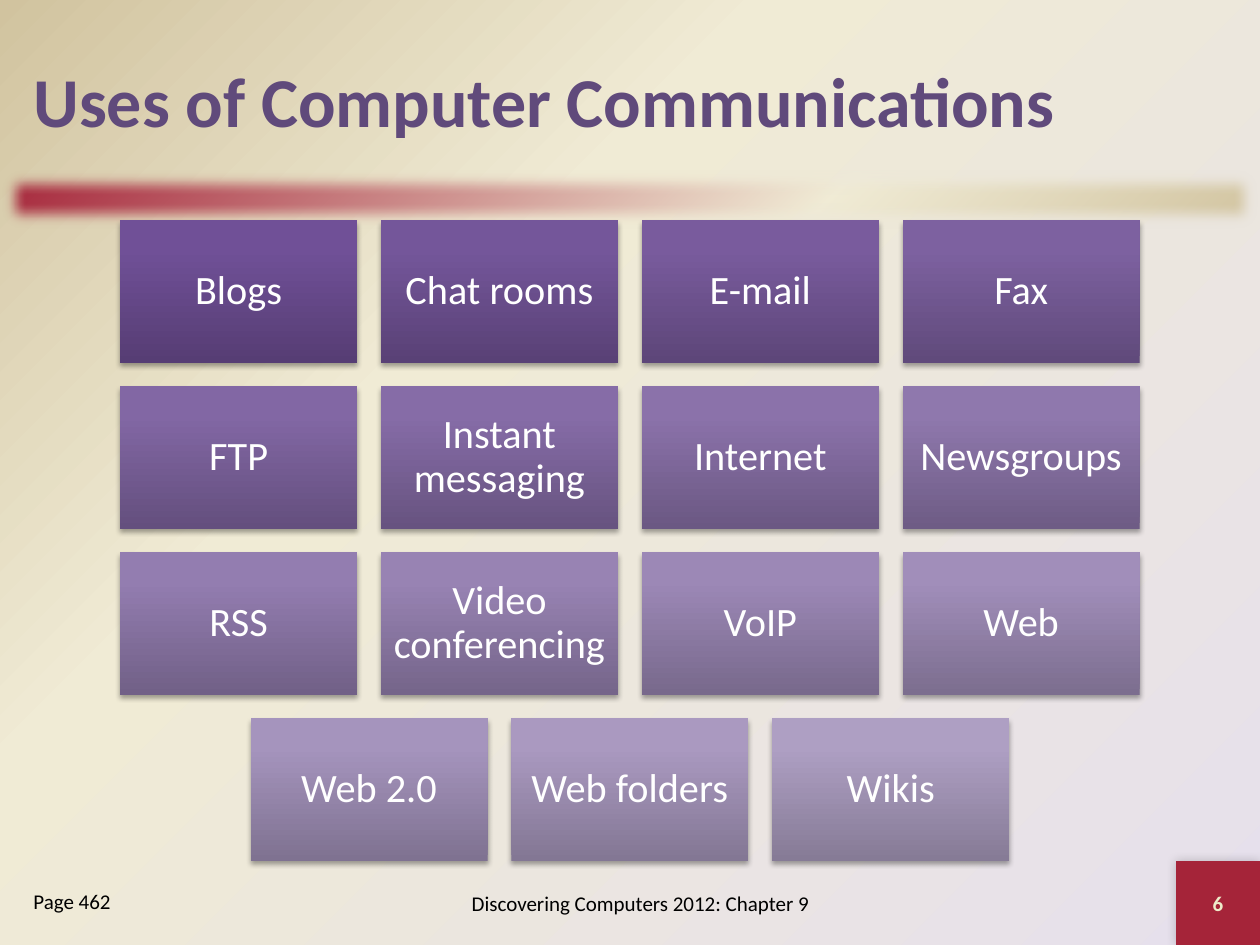
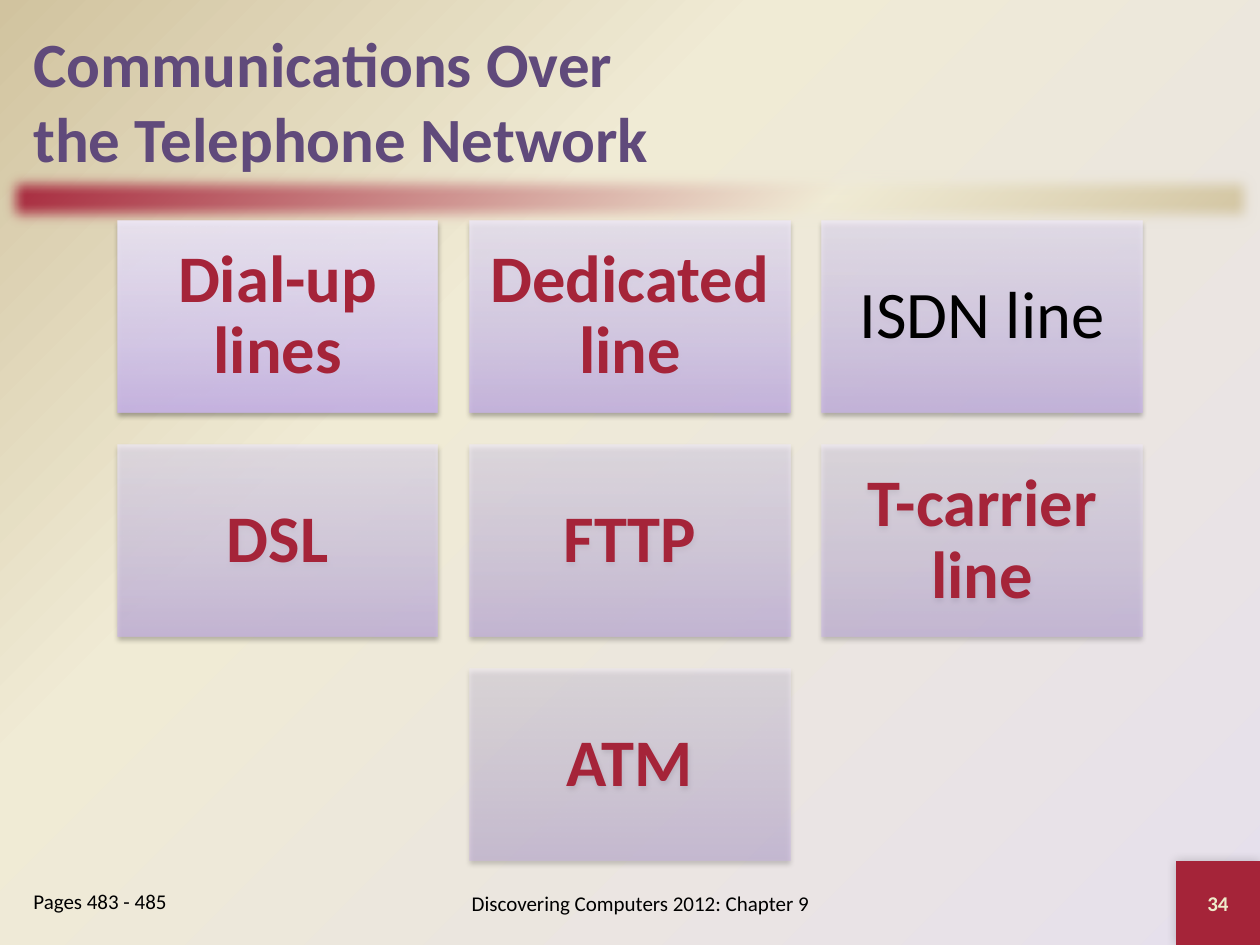
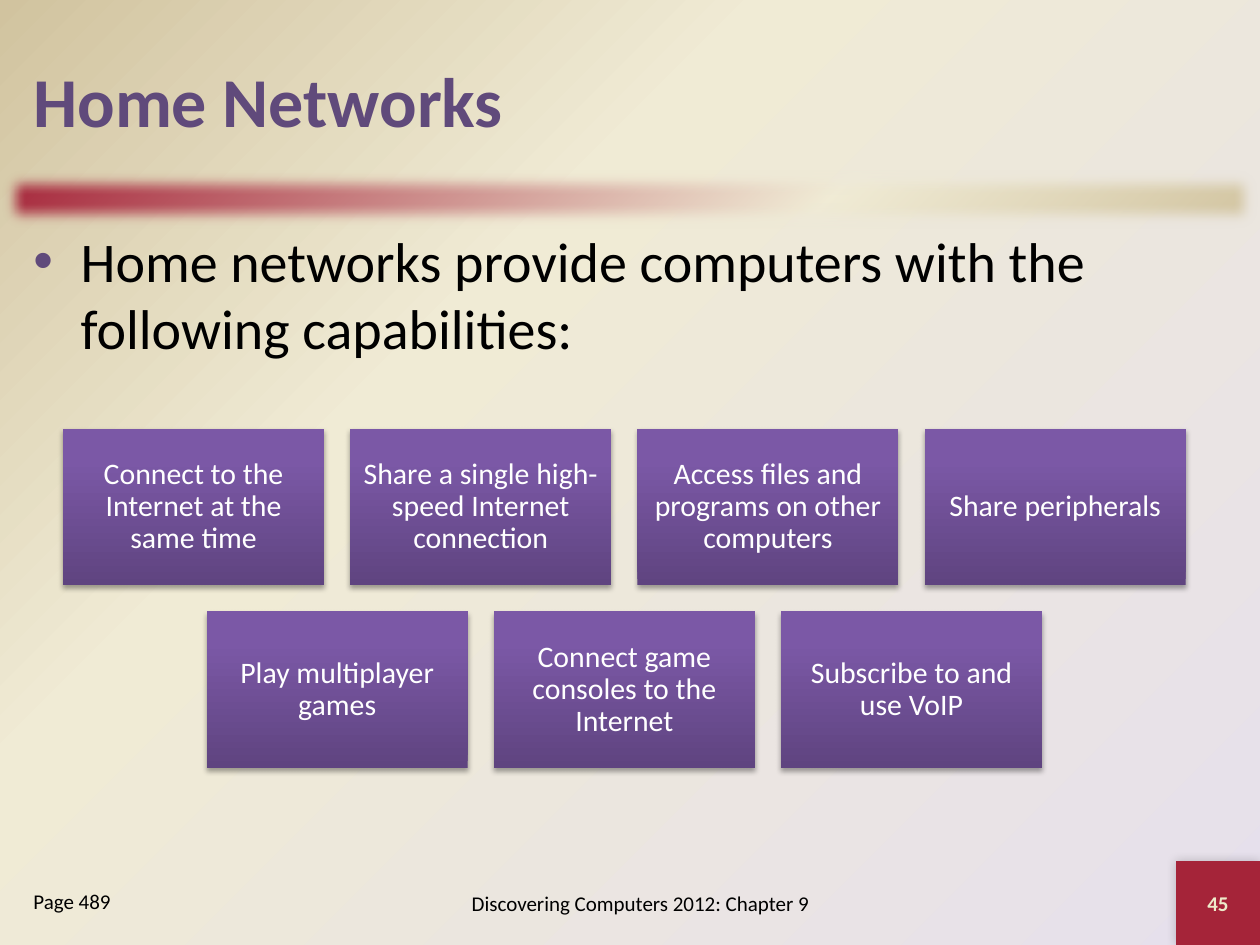
"""Build three slides on computer communications as centred grids of tiles."""
import pptx
import pptx.dml.color
import pptx.enum.shapes
import pptx.enum.text
import pptx.oxml
import pptx.oxml.ns
import pptx.util

Pt = pptx.util.Pt
RGB = pptx.dml.color.RGBColor
PP_ALIGN = pptx.enum.text.PP_ALIGN
ANCHOR = pptx.enum.text.MSO_ANCHOR
qn = pptx.oxml.ns.qn
NS = pptx.oxml.ns.nsdecls("a")

FONT = "Calibri"
BLACK = RGB(0, 0, 0)
WHITE = RGB(0xFF, 0xFF, 0xFF)
RED = RGB(0xA5, 0x24, 0x39)
PURPLE = RGB(0x60, 0x4A, 0x7B)
CREAM = RGB(0xF0, 0xEB, 0xD5)
SAND = RGB(0xD1, 0xC3, 0x9F)
LAVENDER = RGB(0xE6, 0xE0, 0xEC)
NUMBER = RGB(0xEE, 0xEB, 0xCA)

DARK_TILE = [(0, RGB(0x56, 0x3D, 0x74)), (80, RGB(0x70, 0x50, 0x97)), (100, RGB(0x70, 0x4F, 0x99))]
PALE_TILE = [(0, RGB(0x86, 0x7B, 0x96)), (80, RGB(0xAE, 0x9F, 0xC3)), (100, RGB(0xAE, 0x9F, 0xC4))]
MID_TILE = [(0, RGB(0x5F, 0x44, 0x80)), (80, RGB(0x7B, 0x58, 0xA6)), (100, RGB(0x7C, 0x57, 0xA8))]
LIGHT_TILE = [(0, RGB(0xC9, 0xB5, 0xE8)), (35, RGB(0xD8, 0xCB, 0xEE)), (100, RGB(0xF0, 0xEA, 0xF9))]

FOOTER = "Discovering Computers 2012: Chapter 9"
SLIDES = [
    dict(
        title="Uses of Computer Communications", title_size=40, pages="Page 462", number=6,
        rows=[["Blogs", "Chat rooms", "E-mail", "Fax"],
              ["FTP", "Instant messaging", "Internet", "Newsgroups"],
              ["RSS", "Video conferencing", "VoIP", "Web"],
              ["Web 2.0", "Web folders", "Wikis"]],
        center=360, top=126, width=135.5, size=23, inset=7, color=WHITE,
        first=DARK_TILE, last=PALE_TILE, alphas=(100, 100)),
    dict(
        title="Communications Over\vthe Telephone Network", title_size=36,
        pages="Pages 483 - 485", number=34,
        rows=[["Dial-up lines", "Dedicated line", "ISDN line"],
              ["DSL", "FTTP", "T-carrier line"],
              ["ATM"]],
        center=360, top=126, width=183, size=38, inset=11.4, color=RED, plain="ISDN line",
        first=LIGHT_TILE, last=LIGHT_TILE, alphas=(90, 50)),
    dict(
        title="Home Networks", title_size=40, pages="Page 489", number=45,
        bullet="Home networks provide computers with the following capabilities:",
        rows=[["Connect to the Internet at the same time",
               "Share a single high-speed Internet connection",
               "Access files and programs on other computers",
               "Share peripherals"],
              ["Play multiplayer games", "Connect game consoles to the Internet",
               "Subscribe to and use VoIP"]],
        center=356.8, top=245, width=149.2, size=17, inset=5, color=WHITE,
        first=MID_TILE, last=MID_TILE, alphas=(100, 100)),
]


def set_gradient(fill, parent, stops, direction, alpha=100):
    fill.solid()
    gs = "".join(
        f'<a:gs pos="{pos * 1000}"><a:srgbClr val="{color}">'
        f'<a:alpha val="{round(alpha * 1000)}"/></a:srgbClr></a:gs>' for pos, color in stops)
    xml = f'<a:gradFill {NS} rotWithShape="1"><a:gsLst>{gs}</a:gsLst>{direction}</a:gradFill>'
    parent.replace(parent.find(qn("a:solidFill")), pptx.oxml.parse_xml(xml))


def linear(angle):
    return f'<a:lin ang="{angle * 60000}" scaled="0"/>'


def add_effect(sp, xml):
    sp.element.spPr.find(qn("a:effectLst")).append(pptx.oxml.parse_xml(xml))


def add_shadow(sp, alpha, blur, dist, angle):
    add_effect(sp, f'<a:outerShdw {NS} blurRad="{Pt(blur)}" dist="{Pt(dist)}" '
                   f'dir="{angle * 60000}" rotWithShape="0"><a:srgbClr val="{BLACK}">'
                   f'<a:alpha val="{alpha * 1000}"/></a:srgbClr></a:outerShdw>')


def add_rect(s, x, y, w, h):
    sp = s.shapes.add_shape(pptx.enum.shapes.MSO_SHAPE.RECTANGLE, Pt(x), Pt(y), Pt(w), Pt(h))
    sp.line.fill.background()
    sp.shadow.inherit = False
    return sp


def set_text(sp, text, size, color, bold=False, align=PP_ALIGN.LEFT, anchor=ANCHOR.MIDDLE):
    tf = sp.text_frame
    tf.word_wrap = True
    tf.vertical_anchor = anchor
    p = tf.paragraphs[0]
    p.text = text
    p.alignment = align
    for r in p.runs:
        r.font.name = FONT
        r.font.size = Pt(size)
        r.font.bold = bold
        r.font.color.rgb = color
    return p


def add_text(s, x, y, w, h, *args, **kwargs):
    return set_text(s.shapes.add_textbox(Pt(x), Pt(y), Pt(w), Pt(h)), *args, **kwargs)


def add_frame(s, data):
    band = add_rect(s, 0, 96, 720, 36)
    set_gradient(band.fill, band.element.spPr, [(0, RED), (65, CREAM), (100, SAND)], linear(45))
    add_effect(band, f'<a:softEdge {NS} rad="{Pt(8.86)}"/>')
    corner = add_rect(s, 672, 492, 48, 48)
    corner.fill.solid()
    corner.fill.fore_color.rgb = RED
    add_shadow(corner, 20, 6, 0, 225)
    set_text(corner, str(data["number"]), 12, NUMBER, bold=True, align=PP_ALIGN.CENTER)
    add_text(s, 12, 12, 696, 90, data["title"], data["title_size"], PURPLE, bold=True)
    add_text(s, 216, 498, 300, 36, FOOTER, 12, BLACK, align=PP_ALIGN.CENTER)
    add_text(s, 12, 504, 132, 36, data["pages"], 12, BLACK, anchor=ANCHOR.TOP)


def add_bullet(s, text):
    p = add_text(s, 12, 126, 696, 366, text, 32, BLACK, anchor=ANCHOR.TOP)
    pPr = p._p.get_or_add_pPr()
    pPr.set("marL", str(Pt(27)))
    pPr.set("indent", str(-Pt(27)))
    for xml in (f'<a:buClr {NS}><a:srgbClr val="{PURPLE}"/></a:buClr>',
                f'<a:buFont {NS} typeface="Arial"/>', f'<a:buChar {NS} char="•"/>'):
        pPr.append(pptx.oxml.parse_xml(xml))


def blend(first, last, t):
    return [(pos, RGB(*(round(a + (b - a) * t) for a, b in zip(c1, c2))))
            for (pos, c1), (_, c2) in zip(first, last)]


def add_tiles(s, data):
    w = data["width"]
    h, gap = 0.6 * w, 0.1 * w
    last_index = sum(map(len, data["rows"])) - 1
    start, end = data["alphas"]
    index = 0
    for i, row in enumerate(data["rows"]):
        left = data["center"] - (len(row) * (w + gap) - gap) / 2
        for j, label in enumerate(row):
            t = index / last_index
            index += 1
            tile = add_rect(s, left + j * (w + gap), data["top"] + i * (h + gap), w, h)
            set_gradient(tile.fill, tile.element.spPr, blend(data["first"], data["last"], t),
                         linear(270), start + (end - start) * t)
            add_shadow(tile, 35, 3.1, 1.8, 90)
            tf = tile.text_frame
            tf.margin_left = tf.margin_right = tf.margin_top = tf.margin_bottom = Pt(data["inset"])
            plain = label == data.get("plain")
            p = set_text(tile, label, data["size"], BLACK if plain else data["color"],
                         bold=data["color"] == RED and not plain, align=PP_ALIGN.CENTER)
            p.line_spacing = 0.9


def main():
    prs = pptx.Presentation()
    prs.slide_width, prs.slide_height = Pt(720), Pt(540)
    master = prs.slide_master
    fill = master.background.fill
    fill.solid()
    set_gradient(fill, master.element.find(".//" + qn("p:bgPr")),
                 [(0, LAVENDER), (65, CREAM), (100, SAND)],
                 '<a:path path="circle"><a:fillToRect l="100000" t="100000"/></a:path>')
    for data in SLIDES:
        s = prs.slides.add_slide(prs.slide_layouts[6])
        add_frame(s, data)
        if "bullet" in data:
            add_bullet(s, data["bullet"])
        add_tiles(s, data)
    prs.save("out.pptx")


if __name__ == "__main__":
    main()
